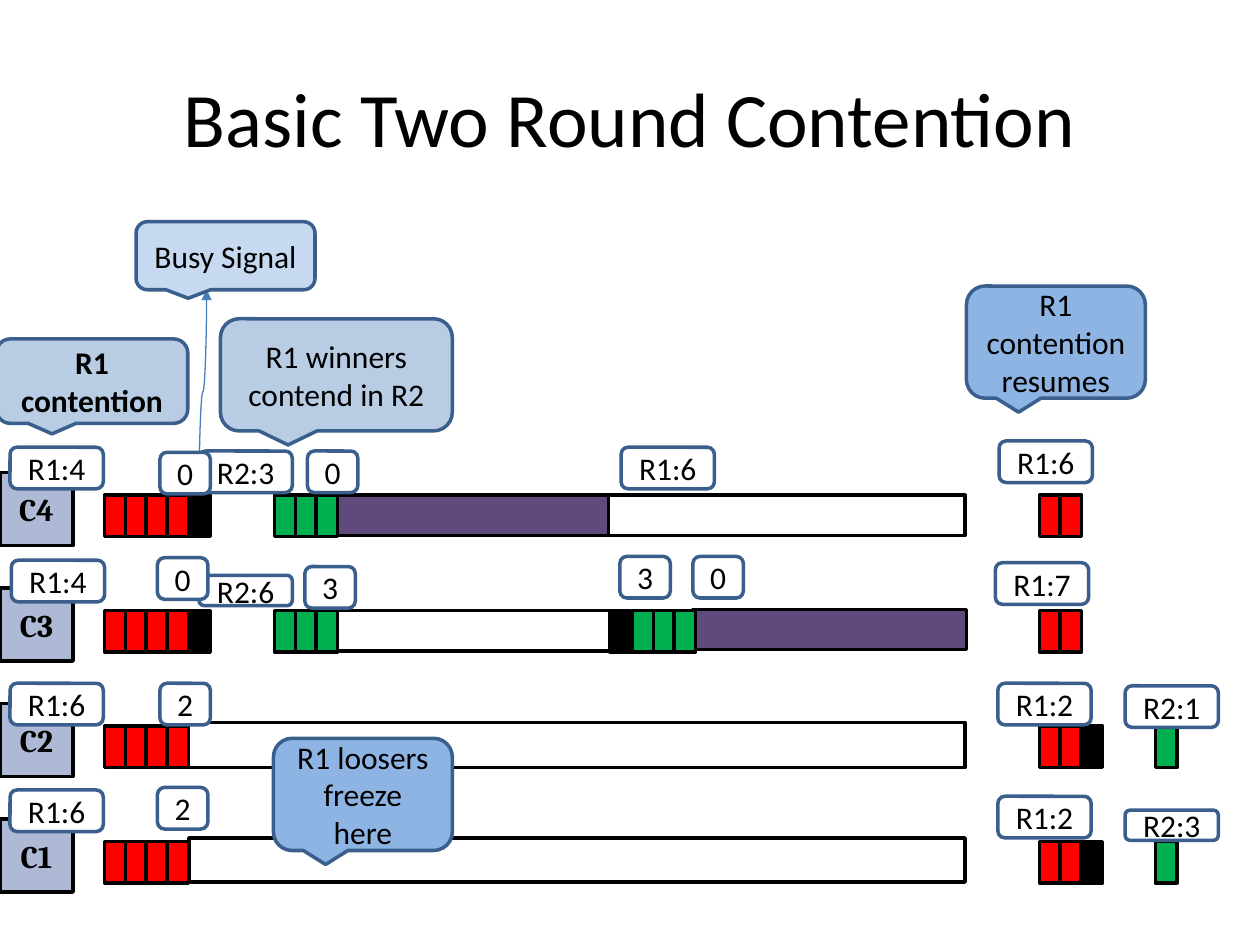
from lxml.etree import SubElement
from pptx import Presentation
from pptx.dml.color import RGBColor
from pptx.enum.shapes import MSO_CONNECTOR, MSO_SHAPE
from pptx.enum.text import MSO_ANCHOR, PP_ALIGN
from pptx.oxml.ns import qn
from pptx.util import Inches, Pt

BLACK = RGBColor(0x00, 0x00, 0x00)
WHITE = RGBColor(0xFF, 0xFF, 0xFF)
RED = RGBColor(0xFF, 0x00, 0x00)
GREEN = RGBColor(0x00, 0xB0, 0x50)
PURPLE = RGBColor(0x60, 0x4A, 0x7B)
NODE_BLUE = RGBColor(0xAE, 0xBA, 0xD5)
ACCENT_BLUE = RGBColor(0x4F, 0x81, 0xBD)
MID_BLUE = RGBColor(0x8E, 0xB4, 0xE3)
PALE_BLUE = RGBColor(0xC6, 0xD9, 0xF1)
OUTLINE_BLUE = RGBColor(0x3A, 0x5F, 0x8C)
ARROW_BLUE = RGBColor(0x4B, 0x7E, 0xBC)

# One row per node, from C4 down to C1
NODES = ["C4", "C3", "C2", "C1"]
ROW_TOPS = [3.75 + row * 11 / 12 for row in range(len(NODES))]
NODE_SIZE = 0.58
SLOT_OFFSET = 0.18
SLOT_WIDTH, SLOT_HEIGHT = 0.17, 0.33
SLOT_PITCH = SLOT_HEIGHT / 2

presentation = Presentation()
presentation.slide_width = Inches(10)
presentation.slide_height = Inches(7.5)
slide = presentation.slides.add_slide(presentation.slide_layouts[5])


def add_block(kind, box, fill, outline, text="", font="Calibri", bold=False):
    shape = slide.shapes.add_shape(kind, *map(Inches, box))
    shape.shadow.inherit = False
    shape.fill.solid()
    shape.fill.fore_color.rgb = fill
    shape.line.color.rgb = outline
    shape.line.width = Pt(2)
    if text:
        shape.text_frame.text = text
        shape.text_frame.word_wrap = True
        shape.text_frame.vertical_anchor = MSO_ANCHOR.MIDDLE
        paragraph = shape.text_frame.paragraphs[0]
        paragraph.alignment = PP_ALIGN.CENTER
        run_font = paragraph.runs[0].font
        run_font.name, run_font.size, run_font.bold = font, Pt(18), bold
        run_font.color.rgb = BLACK
    return shape


title = slide.shapes.title
title.left, title.top, title.width, title.height = map(Inches, (0.5, 0.3, 9, 1.25))
title.text_frame.text = "Basic Two Round Contention"
title.text_frame.vertical_anchor = MSO_ANCHOR.MIDDLE
title_paragraph = title.text_frame.paragraphs[0]
title_paragraph.alignment = PP_ALIGN.CENTER
title_font = title_paragraph.runs[0].font
title_font.name, title_font.size = "Calibri", Pt(44)
title_font.color.rgb = BLACK

# Bars: row, left, offset in the row, width, height, colour
bars = [
    (0, 2.67, 0.18, 2.17, 0.32, PURPLE),
    (0, 4.83, 0.18, 2.83, 0.32, WHITE),
    (1, 2.67, 0.18, 2.17, 0.32, WHITE),
    (1, 5.5, 0.17, 2.17, 0.32, PURPLE),
    (2, 1.49, 0.15, 6.17, 0.36, WHITE),
    (3, 1.5, 0.15, 6.16, 0.35, WHITE),
]
for row, left, offset, width, height, fill in bars:
    add_block(MSO_SHAPE.RECTANGLE, (left, ROW_TOPS[row] + offset, width, height),
              fill, BLACK)

# Contention slots: rows, left of the first slot, count, colour
slot_groups = [
    ((0, 1, 2, 3), 0.83, 4, RED),
    ((0, 1), 1.5, 1, BLACK),
    ((0, 1), 2.18, 3, GREEN),
    ((1,), 4.84, 1, BLACK),
    ((1,), 5.02, 3, GREEN),
    ((0, 1, 2, 3), 8.25, 2, RED),
    ((2, 3), 8.58, 1, BLACK),
    ((2, 3), 9.17, 1, GREEN),
]
for rows, first_left, count, fill in slot_groups:
    for row in rows:
        for slot in range(count):
            add_block(MSO_SHAPE.RECTANGLE,
                      (first_left + slot * SLOT_PITCH, ROW_TOPS[row] + SLOT_OFFSET,
                       SLOT_WIDTH, SLOT_HEIGHT), fill, BLACK)

# The curve is laid out flat, then turned a quarter to run upwards
arrow = slide.shapes.add_connector(
    MSO_CONNECTOR.CURVE, *map(Inches, (2.42, 3.14, 0.8, 3.08)))
arrow.line.color.rgb = ARROW_BLUE
arrow.line.width = Pt(0.75)
arrow_properties = arrow._element.spPr
arrow_properties.find(qn("a:xfrm")).set("rot", "5400000")
SubElement(arrow_properties.find(qn("a:ln")), qn("a:tailEnd"), type="triangle")
SubElement(arrow_properties, qn("a:effectLst"))

# Callouts: text, box, colour, opacity in percent, bold
callouts = [
    ("R1 contention", (-0.03, 2.69, 1.52, 0.67), ACCENT_BLUE, 40, True),
    ("R1 winners contend in R2", (1.75, 2.53, 1.84, 0.89), ACCENT_BLUE, 40, False),
    ("R1 loosers freeze here", (2.17, 5.86, 1.42, 0.89), MID_BLUE, 100, False),
    ("Busy Signal", (1.08, 1.76, 1.42, 0.54), PALE_BLUE, 100, False),
    ("R1 contention resumes", (7.67, 2.27, 1.42, 0.89), MID_BLUE, 100, False),
]
for text, box, fill, opacity, bold in callouts:
    callout = add_block(MSO_SHAPE.ROUNDED_RECTANGULAR_CALLOUT, box, fill,
                        OUTLINE_BLUE, text, bold=bold)
    if opacity < 100:
        color = callout._element.spPr.find(qn("a:solidFill")).find(qn("a:srgbClr"))
        SubElement(color, qn("a:alpha"), val=str(opacity * 1000))

for node, top in zip(NODES, ROW_TOPS):
    add_block(MSO_SHAPE.RECTANGLE, (0, top, NODE_SIZE, NODE_SIZE), NODE_BLUE, BLACK,
              node, font="Cambria", bold=True)

# Counter labels of each row: text, left, rise above the row, height
labels = [
    [("R1:4", 0.08, 0.2, 0.33), ("R2:3", 1.58, 0.17, 0.33), ("0", 1.27, 0.16, 0.33),
     ("0", 2.44, 0.17, 0.33), ("R1:6", 4.93, 0.2, 0.33), ("R1:6", 7.93, 0.25, 0.33)],
    [("R1:4", 0.09, 0.22, 0.33), ("R2:6", 1.58, 0.1, 0.24), ("0", 1.25, 0.24, 0.33),
     ("3", 2.42, 0.17, 0.33), ("3", 4.92, 0.25, 0.33), ("0", 5.5, 0.25, 0.33),
     ("R1:7", 7.9, 0.2, 0.33)],
    [("R1:6", 0.08, 0.16, 0.33), ("2", 1.27, 0.16, 0.33), ("R1:2", 7.92, 0.16, 0.33),
     ("R2:1", 8.93, 0.14, 0.33)],
    [("R1:6", 0.08, 0.23, 0.33), ("2", 1.25, 0.25, 0.33), ("R1:2", 7.92, 0.18, 0.33),
     ("R2:3", 8.93, 0.07, 0.24)],
]
for row_top, row_labels in zip(ROW_TOPS, labels):
    for text, left, rise, height in row_labels:
        width = 0.4 if len(text) == 1 else 0.74
        add_block(MSO_SHAPE.ROUNDED_RECTANGLE, (left, row_top - rise, width, height),
                  WHITE, OUTLINE_BLUE, text)

presentation.save("out.pptx")
